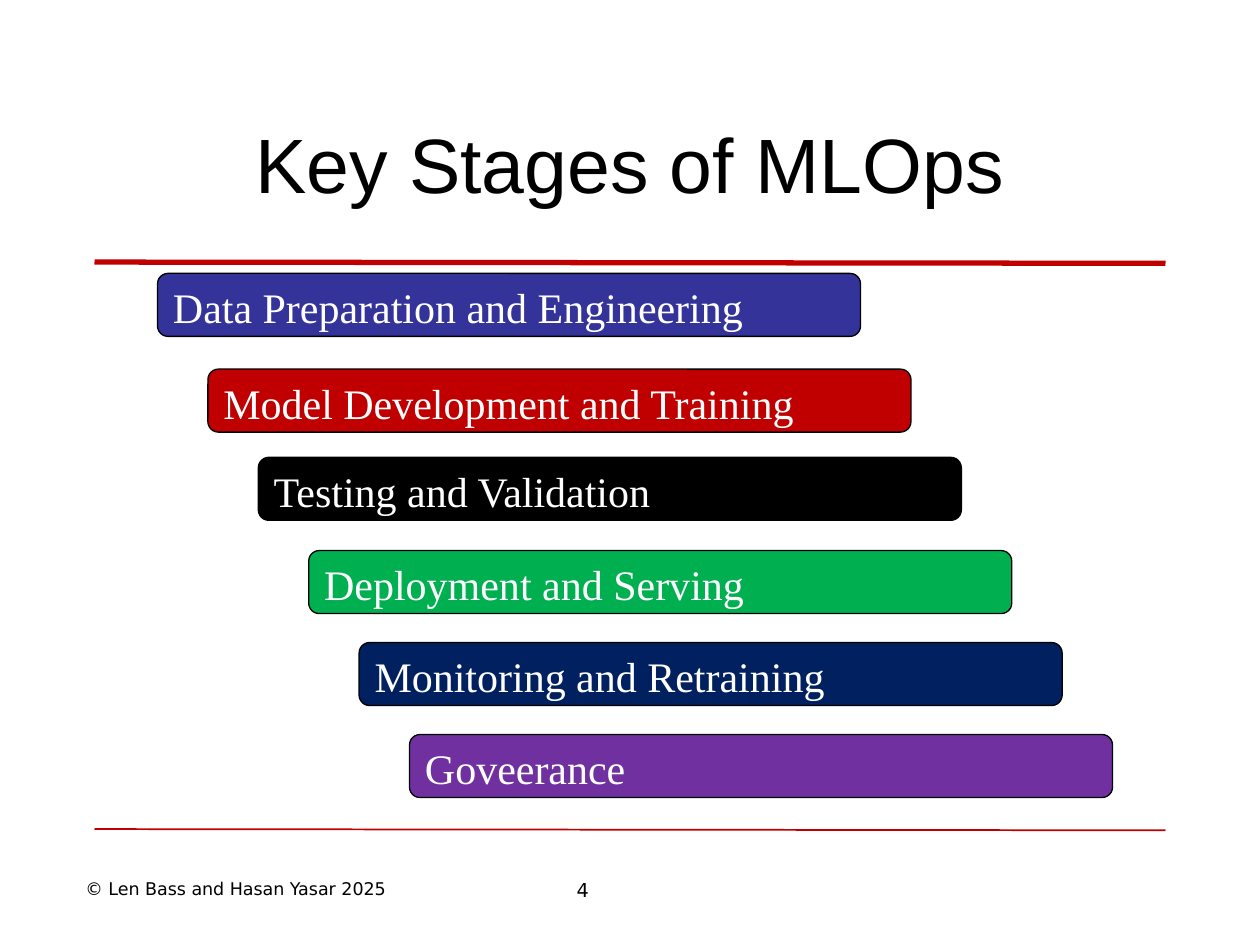
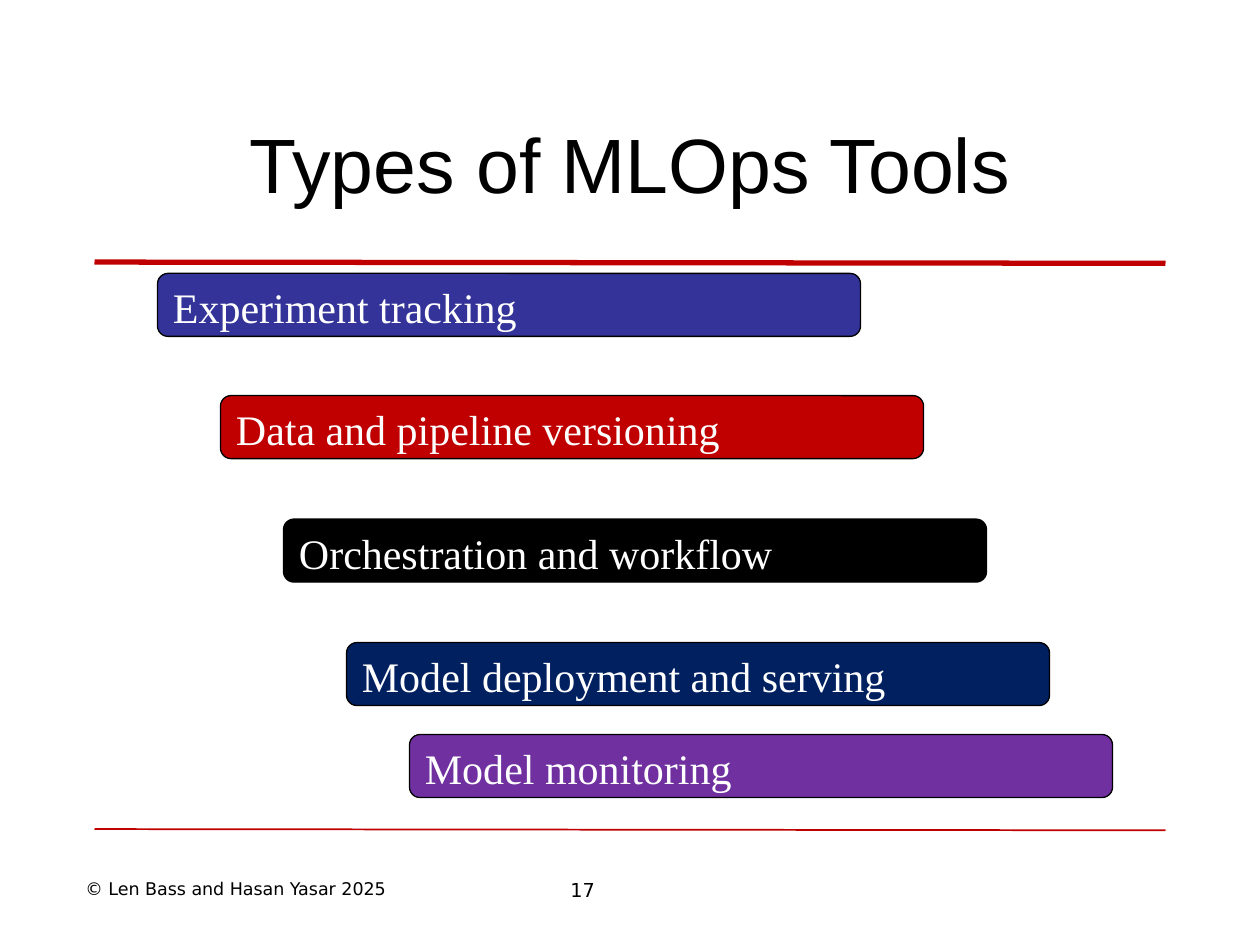
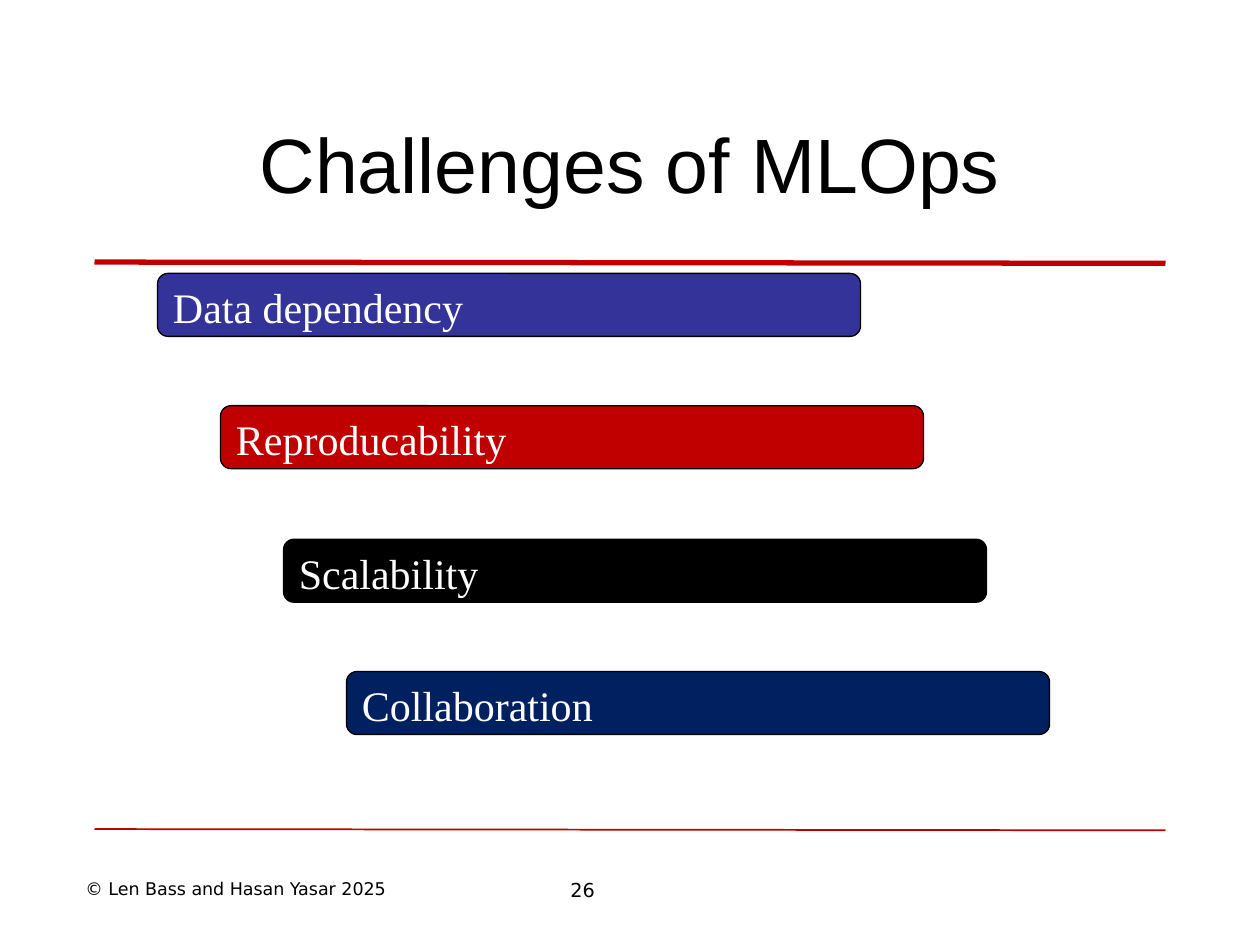
"""Build three MLOps slides with staggered coloured bars."""
from lxml.etree import SubElement
from pptx import Presentation
from pptx.dml.color import RGBColor
from pptx.enum.shapes import MSO_CONNECTOR, MSO_SHAPE
from pptx.enum.text import MSO_ANCHOR, MSO_AUTO_SIZE, PP_ALIGN
from pptx.oxml.ns import qn
from pptx.util import Inches, Pt

BLACK = RGBColor(0x00, 0x00, 0x00)
WHITE = RGBColor(0xFF, 0xFF, 0xFF)
INDIGO = RGBColor(0x33, 0x33, 0x99)
RED = RGBColor(0xC0, 0x00, 0x00)
GREEN = RGBColor(0x00, 0xB0, 0x50)
NAVY = RGBColor(0x00, 0x20, 0x60)
PURPLE = RGBColor(0x70, 0x30, 0xA0)

TITLE_FONT = {"name": "Arial", "size": Pt(44)}
BAR_FONT = {"name": "Times New Roman", "size": Pt(24)}
NUMBER_FONT = {"name": "DejaVu Sans", "size": Pt(11)}
FOOTER_FONT = {"name": "DejaVu Sans", "size": Pt(10)}
TITLE_FRAME = {"vertical_anchor": MSO_ANCHOR.MIDDLE,
               "auto_size": MSO_AUTO_SIZE.NONE, "word_wrap": True}
BAR_FRAME = {"vertical_anchor": MSO_ANCHOR.BOTTOM, "word_wrap": True,
             "margin_bottom": Inches(0.01)}
FOOTER_FRAME = {"word_wrap": True}

FOOTER = "© Len Bass and Hasan Yasar 2025"
BAR_LEFT, BAR_WIDTH, BAR_HEIGHT = 1.25, 5.58, 0.5

SLIDES = [
    ("Key Stages of MLOps", 4, 0.4, [
        ("Data Preparation and Engineering", INDIGO, 2.17),
        ("Model Development and Training", RED, 2.93),
        ("Testing and Validation", BLACK, 3.63),
        ("Deployment and Serving", GREEN, 4.37),
        ("Monitoring and Retraining", NAVY, 5.1),
        ("Goveerance", PURPLE, 5.83),
    ]),
    ("Types of MLOps Tools", 17, 0.5, [
        ("Experiment tracking", INDIGO, 2.17),
        ("Data and pipeline versioning", RED, 3.14),
        ("Orchestration and workflow", BLACK, 4.12),
        ("Model deployment and serving", NAVY, 5.1),
        ("Model monitoring", PURPLE, 5.83),
    ]),
    ("Challenges of MLOps", 26, 0.5, [
        ("Data dependency", INDIGO, 2.17),
        ("Reproducability", RED, 3.22),
        ("Scalability", BLACK, 4.28),
        ("Collaboration", NAVY, 5.33),
    ]),
]


class Deck:
    """Hold the presentation style and the current slide."""

    def __init__(self):
        self.prs = Presentation()
        self.prs.slide_width, self.prs.slide_height = Inches(10), Inches(7.5)
        self.s = None

    def add_slide(self, title, number):
        """Start a slide with its rules, footer and title."""
        self.s = self.prs.slides.add_slide(self.prs.slide_layouts[5])
        self.rule(2.08, 3)
        self.rule(6.58, 1)
        self.label(str(number), (4, 6.92, 1.25, 0.29), NUMBER_FONT, PP_ALIGN.CENTER)
        self.label(FOOTER, (0.58, 6.92, 3.25, 0.27), FOOTER_FONT, PP_ALIGN.LEFT)
        self.title(title)

    def set_text(self, sp, text, frame, font, color, align):
        """Put one formatted line of text in a shape."""
        tf = sp.text_frame
        for name, value in frame.items():
            setattr(tf, name, value)
        p = tf.paragraphs[0]
        p.alignment = align
        r = p.add_run()
        r.text = text
        for name, value in font.items():
            setattr(r.font, name, value)
        r.font.color.rgb = color

    def title(self, text):
        """Place and fill the title placeholder."""
        sp = self.s.shapes.title
        sp.left, sp.top, sp.width, sp.height = map(Inches, (0.75, 0.67, 8.5, 1.25))
        self.set_text(sp, text, TITLE_FRAME, TITLE_FONT, BLACK, PP_ALIGN.CENTER)

    def label(self, text, box, font, align):
        """Add a footer text box."""
        sp = self.s.shapes.add_textbox(*map(Inches, box))
        self.set_text(sp, text, FOOTER_FRAME, font, BLACK, align)

    def rule(self, top, weight):
        """Add a red line across the slide."""
        ends = map(Inches, (0.75, top, 9.25, top + 0.01))
        line = self.s.shapes.add_connector(MSO_CONNECTOR.STRAIGHT, *ends)
        line.line.color.rgb = RED
        line.line.width = Pt(weight)
        SubElement(line._element.spPr, qn("a:effectLst"))

    def bar(self, text, fill, left, top):
        """Add a rounded bar with white text."""
        box = map(Inches, (left, top, BAR_WIDTH, BAR_HEIGHT))
        sp = self.s.shapes.add_shape(MSO_SHAPE.ROUNDED_RECTANGLE, *box)
        sp.shadow.inherit = False
        sp.fill.solid()
        sp.fill.fore_color.rgb = fill
        sp.line.color.rgb = BLACK
        sp.line.width = Pt(0.75)
        self.set_text(sp, text, BAR_FRAME, BAR_FONT, WHITE, PP_ALIGN.LEFT)


def main():
    """Build and save the slides."""
    deck = Deck()
    for title, number, indent, bars in SLIDES:
        deck.add_slide(title, number)
        for i, (text, fill, top) in enumerate(bars):
            deck.bar(text, fill, BAR_LEFT + i * indent, top)
    deck.prs.save("out.pptx")


if __name__ == "__main__":
    main()
